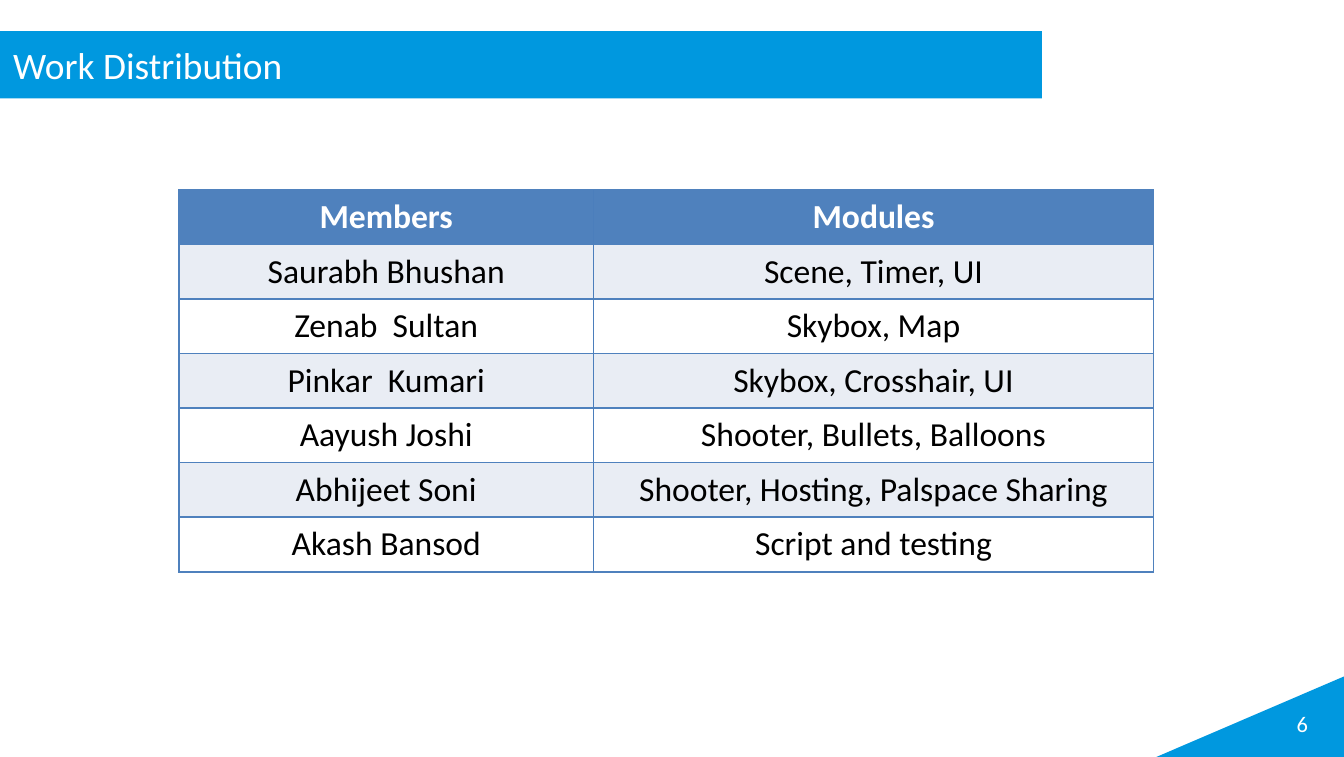
"""Build the work distribution slide with its table of members and modules."""
from lxml.etree import SubElement
from pptx import Presentation
from pptx.dml.color import RGBColor
from pptx.enum.shapes import MSO_CONNECTOR, MSO_SHAPE as SHAPE
from pptx.enum.text import MSO_ANCHOR as ANCHOR, PP_ALIGN as ALIGN
from pptx.oxml import parse_xml
from pptx.oxml.ns import nsdecls, qn
from pptx.util import Cm, Pt

BLUE, HEADER, LINE = "0098DF", "4F81BD", "4B7EBC"
BAND, WHITE, BLACK = "E9EDF4", "FFFFFF", "000000"


def rgb(value):
    return RGBColor.from_string(value)


def write(tf, text, size, color, align, bold=False):
    tf.text = text
    p = tf.paragraphs[0]
    p.alignment = align
    font = p.runs[0].font
    font.name, font.size, font.bold = "Calibri", Pt(size), bold
    font.color.rgb = rgb(color)


prs = Presentation()
prs.slide_width, prs.slide_height = Cm(25.4), Cm(14.3)
slide = prs.slides.add_slide(prs.slide_layouts[6])

corner = slide.shapes.add_shape(SHAPE.RIGHT_TRIANGLE, Cm(21.74), Cm(12.75), Cm(3.73), Cm(1.6))
corner._element.spPr.xfrm.set("flipH", "1")
banner = slide.shapes.add_shape(SHAPE.RECTANGLE, 0, Cm(0.59), Cm(19.69), Cm(1.27))
for s in (corner, banner):
    s.shadow.inherit = False
    s.fill.solid()
    s.fill.fore_color.rgb = rgb(BLUE)
    s.line.fill.background()
banner.text_frame.vertical_anchor = ANCHOR.MIDDLE
write(banner.text_frame, "Work Distribution", 20, WHITE, ALIGN.LEFT)

tf = slide.shapes.add_textbox(Cm(19.05), Cm(13.29), Cm(5.92), Cm(0.76)).text_frame
tf.word_wrap = True
tf.vertical_anchor = ANCHOR.MIDDLE
write(tf, "6", 12, WHITE, ALIGN.RIGHT)

rows = [
    ("Members", "Modules"),
    ("Saurabh Bhushan", "Scene, Timer, UI"),
    ("Zenab  Sultan", "Skybox, Map"),
    ("Pinkar  Kumari", "Skybox, Crosshair, UI"),
    ("Aayush Joshi", "Shooter, Bullets, Balloons"),
    ("Abhijeet Soni", "Shooter, Hosting, Palspace Sharing"),
    ("Akash Bansod", "Script and testing"),
]
left, top, widths, height = Cm(3.38), Cm(3.59), (Cm(7.84), Cm(10.58)), Cm(1.03)
table = slide.shapes.add_table(len(rows), 2, left, top, sum(widths), height * len(rows)).table
for column, width in zip(table.columns, widths):
    column.width = width
for i, row in enumerate(rows):
    table.rows[i].height = height
    fill = HEADER if i == 0 else BAND if i % 2 else WHITE
    for j, text in enumerate(row):
        cell = table.cell(i, j)
        write(cell.text_frame, text, 18, BLACK if i else WHITE, ALIGN.CENTER, i == 0)
        cell.fill.solid()
        cell.fill.fore_color.rgb = rgb(fill)
        tcPr = cell._tc.get_or_add_tcPr()
        for k, side in enumerate("LRTB"):
            tcPr.insert(k, parse_xml(
                f'<a:ln{side} {nsdecls("a")} w="12700"><a:solidFill>'
                f'<a:srgbClr val="{HEADER}"/></a:solidFill></a:ln{side}>'))

x = left + widths[0]
divider = slide.shapes.add_connector(MSO_CONNECTOR.STRAIGHT, x, top, x, Cm(10.74))
divider.line.color.rgb = rgb(LINE)
divider.line.width = Pt(0.75)
SubElement(divider._element.spPr, qn("a:effectLst"))

prs.save("out.pptx")
